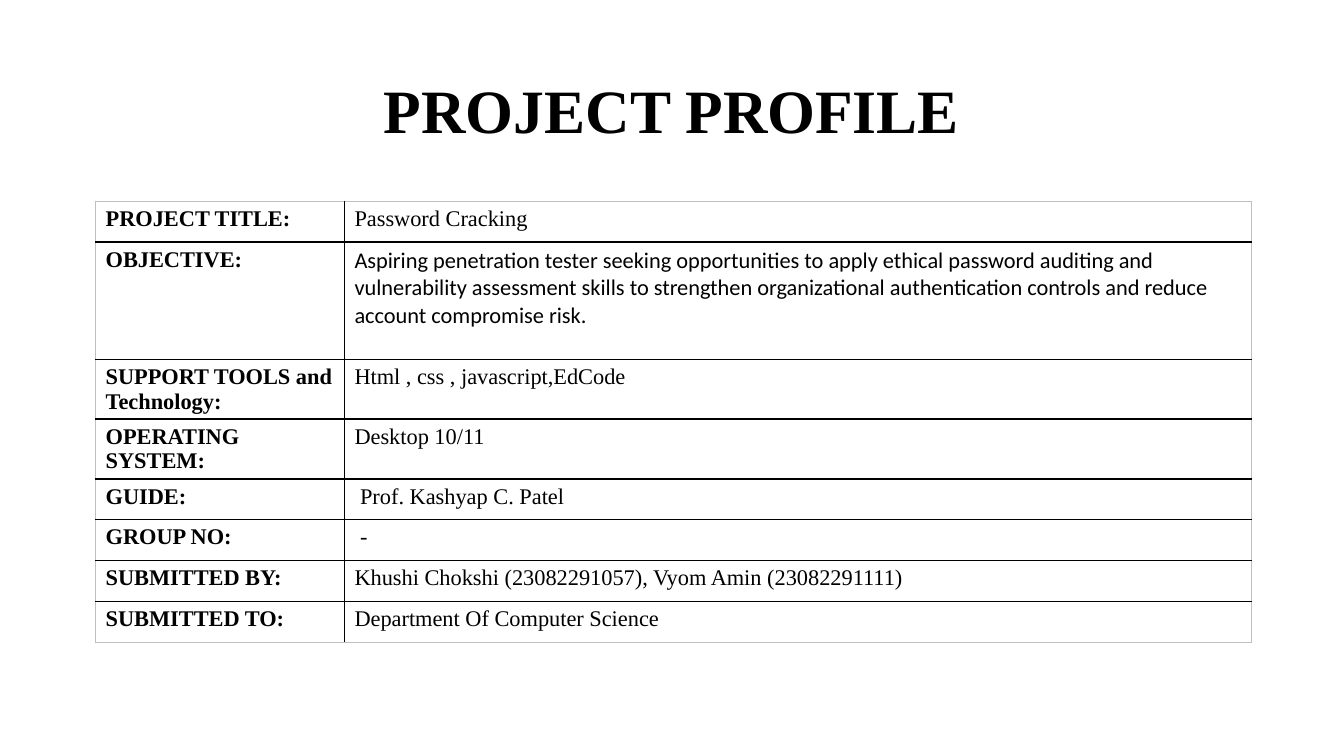
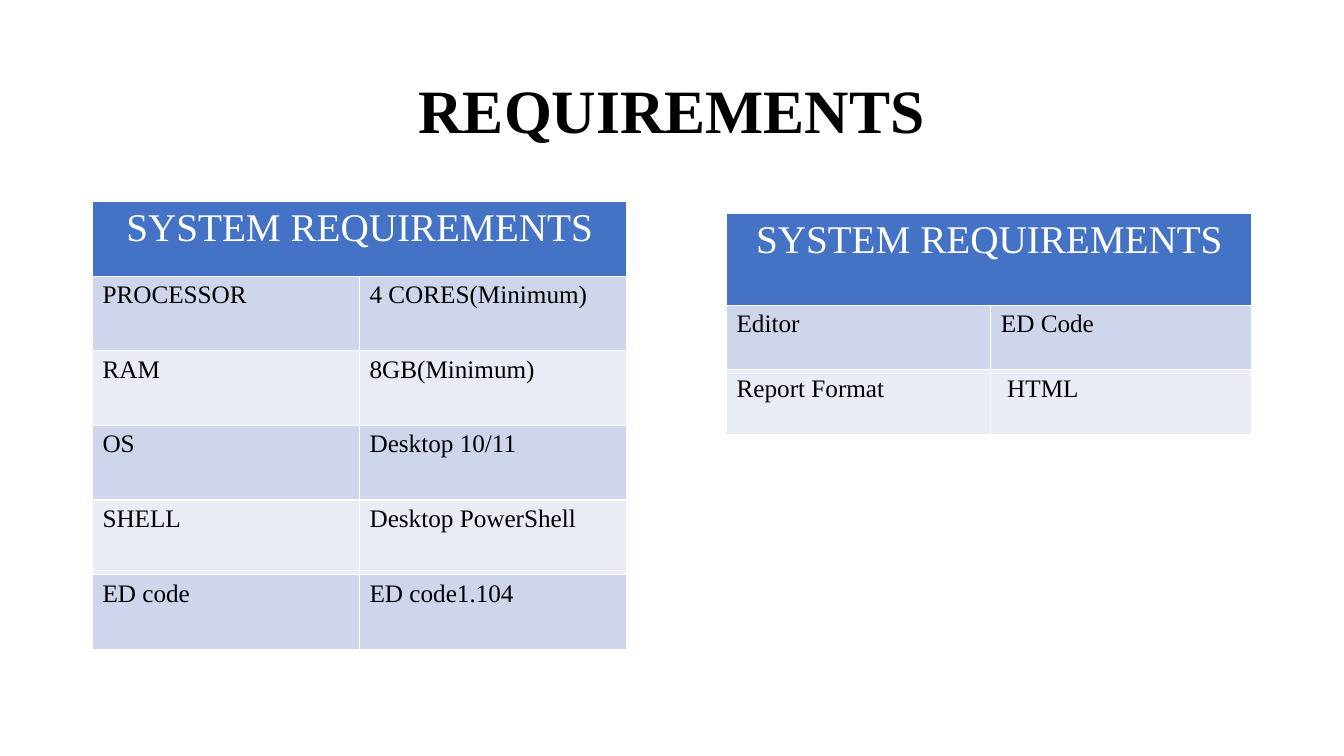
from dataclasses import dataclass

from lxml import etree
from pptx import Presentation
from pptx.dml.color import RGBColor
from pptx.enum.text import MSO_ANCHOR, PP_ALIGN
from pptx.oxml.ns import qn
from pptx.util import Cm, Pt

LEFT, CENTER = PP_ALIGN.LEFT, PP_ALIGN.CENTER
MIDDLE = MSO_ANCHOR.MIDDLE
TITLE_ONLY = 5


@dataclass(frozen=True)
class Theme:
    serif: str = "Times New Roman"
    sans: str = "Calibri"
    ink: str = "000000"
    paper: str = "FFFFFF"
    edge: str = "BFBFBF"
    head: str = "4472C4"
    bands: tuple = ("CFD5EA", "E9EBF5")
    title_pt: int = 44
    head_pt: int = 28
    body_pt: int = 18
    form_pt: int = 16


THEME = Theme()

# Rows of the profile: label, value, height in cm
PROFILE = [
    ("PROJECT TITLE:", "Password Cracking", 1.03),
    ("OBJECTIVE:",
     "Aspiring penetration tester seeking opportunities to apply ethical "
     "password auditing and vulnerability assessment skills to strengthen "
     "organizational authentication controls and reduce account compromise "
     "risk.", 2.95),
    ("SUPPORT TOOLS and Technology:", "Html , css , javascript,EdCode", 1.51),
    ("OPERATING SYSTEM:", "Desktop 10/11", 1.51),
    ("GUIDE:", " Prof. Kashyap C. Patel", 1.03),
    ("GROUP NO:", " -", 1.03),
    ("SUBMITTED BY:",
     "Khushi Chokshi (23082291057), Vyom Amin (23082291111)", 1.03),
    ("SUBMITTED TO:", "Department Of Computer Science", 1.03),
]

SYSTEM = [
    ("PROCESSOR", "4 CORES(Minimum)"),
    ("RAM", "8GB(Minimum)"),
    ("OS", "Desktop 10/11"),
    ("SHELL", "Desktop PowerShell"),
    ("ED code", "ED code1.104"),
]

TOOLS = [("Editor", "ED Code"), ("Report Format", " HTML")]


def style(para, size, color=THEME.ink, bold=False, face=THEME.serif,
          align=LEFT):
    para.alignment = align
    font = para.font
    font.name, font.size, font.bold = face, Pt(size), bold
    font.color.rgb = RGBColor.from_string(color)


def border(cell, side, color):
    props = cell._tc.get_or_add_tcPr()
    line = etree.SubElement(props, qn(f"a:ln{side}"), w=str(Pt(1)))
    fill = etree.SubElement(line, qn("a:solidFill"))
    etree.SubElement(fill, qn("a:srgbClr"), val=color)


def paint(cell, color):
    cell.fill.solid()
    cell.fill.fore_color.rgb = RGBColor.from_string(color)


def add_slide(deck, text):
    """Add a slide with the shared title style."""
    slide = deck.slides.add_slide(deck.slide_layouts[TITLE_ONLY])
    title = slide.shapes.title
    title.left, title.top = Cm(2.33), Cm(1.01)
    title.width, title.height = Cm(29.21), Cm(3.68)
    frame = title.text_frame
    frame.text = text
    frame.vertical_anchor = MIDDLE
    para = frame.paragraphs[0]
    para.line_spacing = 0.9
    style(para, THEME.title_pt, bold=True, align=CENTER)
    return slide


def add_grid(slide, left, top, cols, rows):
    """Add a plain table from column widths and row heights in cm."""
    frame = slide.shapes.add_table(len(rows), len(cols), Cm(left), Cm(top),
                                   Cm(sum(cols)), Cm(sum(rows)))
    grid = frame.table
    grid.first_row = grid.horz_banding = False
    for col, width in zip(grid.columns, cols):
        col.width = Cm(width)
    for row, height in zip(grid.rows, rows):
        row.height = Cm(height)
    return grid


def add_form(slide, left, top, cols, items):
    """Ruled table with bold labels and a pale outer edge."""
    grid = add_grid(slide, left, top, cols, [item[2] for item in items])
    last = len(items) - 1
    for r, (label, value, _) in enumerate(items):
        for c, text in enumerate((label, value)):
            cell = grid.cell(r, c)
            outer = {"L": c == 0, "R": c == 1, "T": r == 0, "B": r == last}
            for side, rim in outer.items():
                border(cell, side, THEME.edge if rim else THEME.ink)
            cell.fill.background()
            cell.text = text
            face = THEME.sans if c and label == "OBJECTIVE:" else THEME.serif
            style(cell.text_frame.paragraphs[0], THEME.form_pt,
                  bold=c == 0, face=face)


def add_specs(slide, left, top, cols, tall, step, head, items):
    """Banded table below a merged heading."""
    grid = add_grid(slide, left, top, cols, [tall] + [step] * len(items))
    grid.cell(0, 0).merge(grid.cell(0, 1))
    for r, texts in enumerate([(head, "")] + items):
        for c, text in enumerate(texts):
            cell = grid.cell(r, c)
            for side in "LRTB":
                border(cell, side, THEME.paper)
            paint(cell, THEME.bands[(r - 1) % 2] if r else THEME.head)
            if cell.is_spanned:
                continue
            cell.text = text
            para = cell.text_frame.paragraphs[0]
            if r:
                style(para, THEME.body_pt)
            else:
                style(para, THEME.head_pt, THEME.paper, align=CENTER)


def main():
    deck = Presentation()
    deck.slide_width, deck.slide_height = Cm(33.87), Cm(19.05)

    # Project profile
    slide = add_slide(deck, "PROJECT PROFILE")
    add_form(slide, 2.41, 5.07, (6.27, 22.86), PROFILE)

    # Requirements
    slide = add_slide(deck, "REQUIREMENTS")
    head = "SYSTEM REQUIREMENTS"
    add_specs(slide, 2.33, 5.08, (6.73, 6.73), 1.88, 1.88, head, SYSTEM)
    add_specs(slide, 18.31, 5.38, (6.66, 6.58), 2.31, 1.63, head, TOOLS)

    deck.save("out.pptx")


if __name__ == "__main__":
    main()
